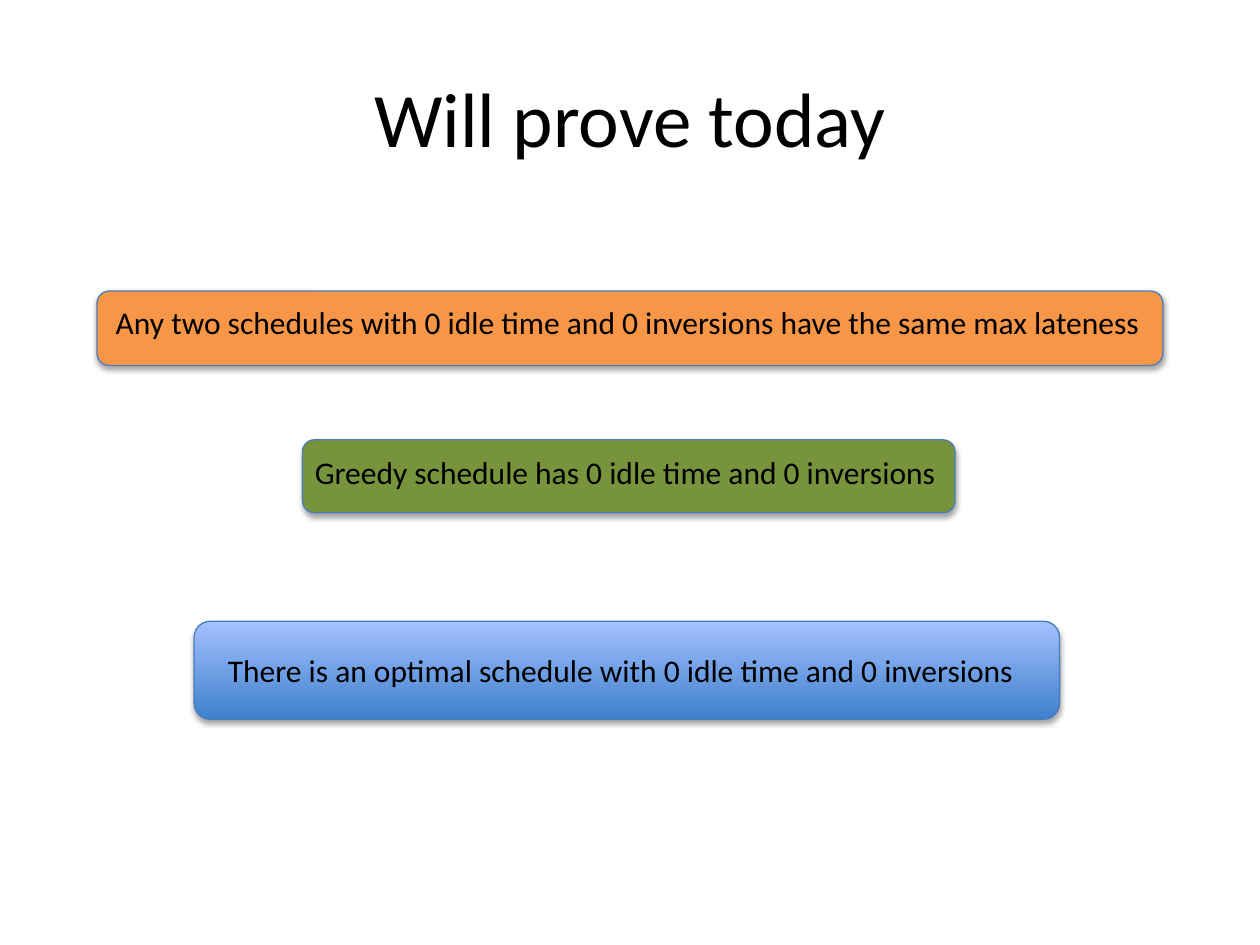
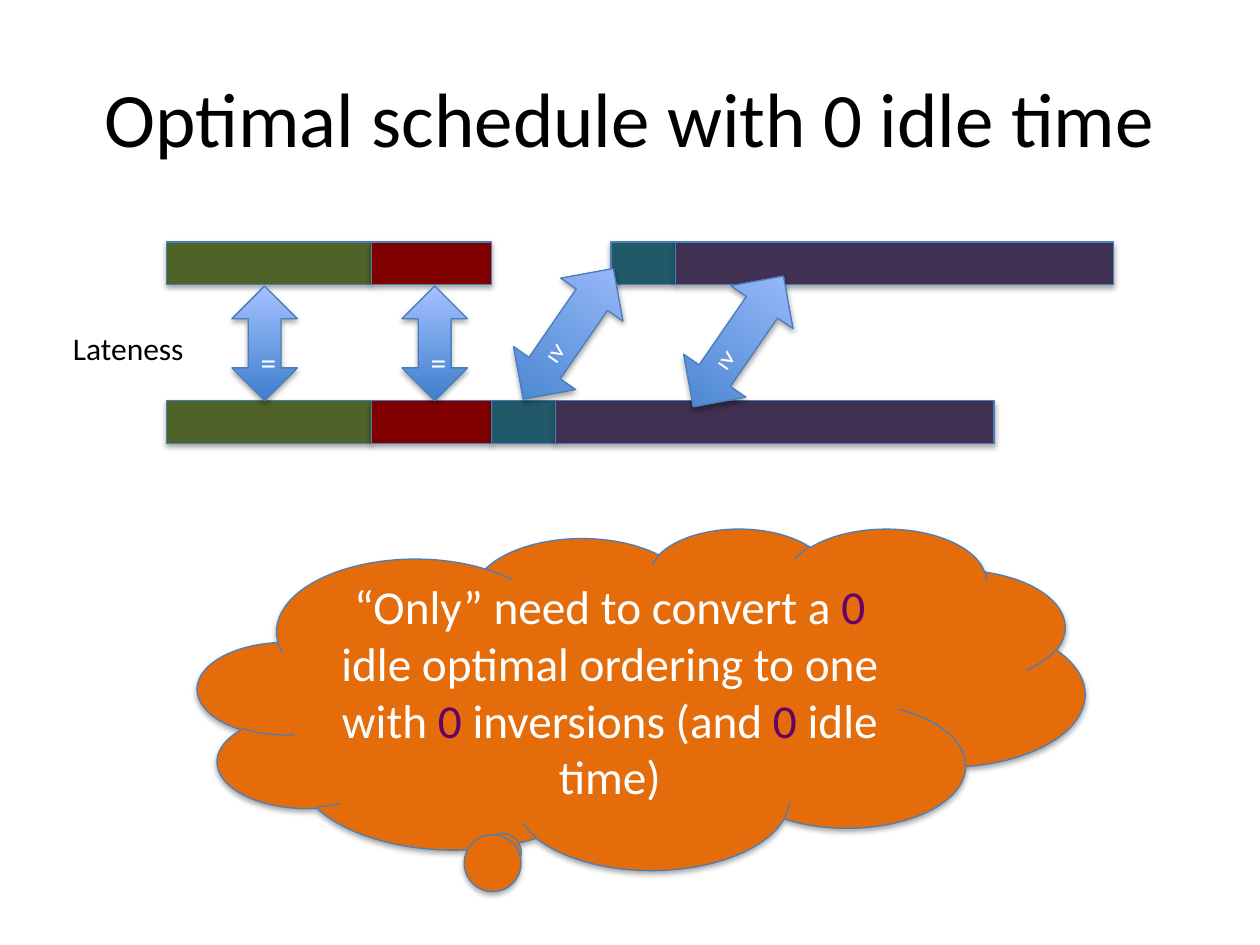
"""Build two slides about schedules with no idle time and no inversions."""
from dataclasses import dataclass

from pptx import Presentation
from pptx.dml.color import RGBColor
from pptx.enum.shapes import MSO_SHAPE as Shape
from pptx.enum.text import MSO_ANCHOR as Anchor, MSO_AUTO_SIZE as AutoSize, PP_ALIGN as Align
from pptx.util import Inches, Pt


@dataclass(frozen=True)
class Theme:
    font: str = "Calibri"
    title_size: int = 44
    cloud_size: int = 27
    text_size: int = 18
    black: str = "000000"
    white: str = "FFFFFF"
    purple: str = "660066"
    orange: str = "F79646"
    green: str = "77933C"
    cloud: str = "E46C0A"
    jobs: tuple = ("4F6228", "800000", "215968", "403152")


theme = Theme()


def write(shape, *parts, size=theme.text_size, color=theme.black, accent=theme.purple,
          align=Align.LEFT, anchor=Anchor.TOP, wrap=True, top=0.05):
    """Write parts as one paragraph, with every second part in the accent colour."""
    frame = shape.text_frame
    frame.word_wrap = wrap
    frame.vertical_anchor = anchor
    frame.margin_top = Inches(top)
    if not wrap:
        frame.auto_size = AutoSize.SHAPE_TO_FIT_TEXT
    para = frame.paragraphs[0]
    para.alignment = align
    for index, part in enumerate(parts):
        span = para.add_run()
        span.text = part
        span.font.name = theme.font
        span.font.size = Pt(size)
        span.font.color.rgb = RGBColor.from_string(accent if index % 2 else color)


def add_box(page, kind, left, top, width, height, fill=None):
    """Add a shape with the theme's outline, shadow and, without a fill, its blue gradient."""
    box = page.shapes.add_shape(kind, Inches(left), Inches(top), Inches(width), Inches(height))
    if fill:
        box.fill.solid()
        box.fill.fore_color.rgb = RGBColor.from_string(fill)
    return box


deck = Presentation()
deck.slide_width, deck.slide_height = Inches(10), Inches(7.5)

pages = []
for heading in ("Will prove today", "Optimal schedule with 0 idle time"):
    page = deck.slides.add_slide(deck.slide_layouts[5])
    title = page.shapes.title
    title.left, title.top, title.width, title.height = map(Inches, (0.5, 0.3, 9, 1.25))
    write(title, heading, size=theme.title_size, align=Align.CENTER, anchor=Anchor.MIDDLE)
    pages.append(page)
claims_page, schedule_page = pages

claims = [
    ("Any two schedules with 0 idle time and 0 inversions have the same max lateness",
     (0.77, 2.31, 8.46, 0.59), theme.orange, (0.82, 2.36, 8.41)),
    ("Greedy schedule has 0 idle time and 0 inversions",
     (2.4, 3.49, 5.18, 0.58), theme.green, (2.4, 3.55, 5.18)),
    ("There is an optimal schedule with 0 idle time and 0 inversions",
     (1.54, 4.93, 6.87, 0.78), None, (1.71, 5.12, 6.5)),
]
for claim, band, fill, label_place in claims:
    add_box(claims_page, Shape.ROUNDED_RECTANGLE, *band, fill=fill)
    label = claims_page.shapes.add_textbox(*map(Inches, (*label_place, 0.4)))
    write(label, claim, wrap=False)

job_widths = (1.63, 0.95, 0.51, 3.48)
for row_top, idle_time in ((1.92, 0.95), (3.18, 0)):
    left = 1.32
    for number, (width, color) in enumerate(zip(job_widths, theme.jobs)):
        if number == 2:
            left += idle_time
        add_box(schedule_page, Shape.RECTANGLE, left, row_top, width, 0.34, fill=color)
        left += width

comparisons = [
    ("=", 1.84, 2.27, 0.52, 0.91, 0),
    ("=", 3.19, 2.27, 0.52, 0.91, 0),
    ("≥", 4.21, 2.02, 0.6, 1.26, 34.6),
    ("≥", 5.56, 2.08, 0.6, 1.26, 34.6),
]
for sign, left, top, width, height, angle in comparisons:
    arrow = add_box(schedule_page, Shape.UP_DOWN_ARROW, left, top, width, height)
    arrow.rotation = angle
    write(arrow, sign, color=theme.white, align=Align.CENTER, anchor=Anchor.MIDDLE, top=0.35)

lateness = schedule_page.shapes.add_textbox(*map(Inches, (0.48, 2.56, 1.09, 0.4)))
write(lateness, "Lateness", wrap=False)

cloud = add_box(schedule_page, Shape.CLOUD_CALLOUT, 1.57, 4.19, 7.04, 2.71, fill=theme.cloud)
cloud.adjustments[0], cloud.adjustments[1] = -0.16, 0.46
write(cloud, "“Only” need to convert a ", "0", " idle optimal ordering to one with ", "0",
      " inversions (and ", "0", " idle time)", size=theme.cloud_size, color=theme.white,
      align=Align.CENTER, anchor=Anchor.MIDDLE)

deck.save("out.pptx")
